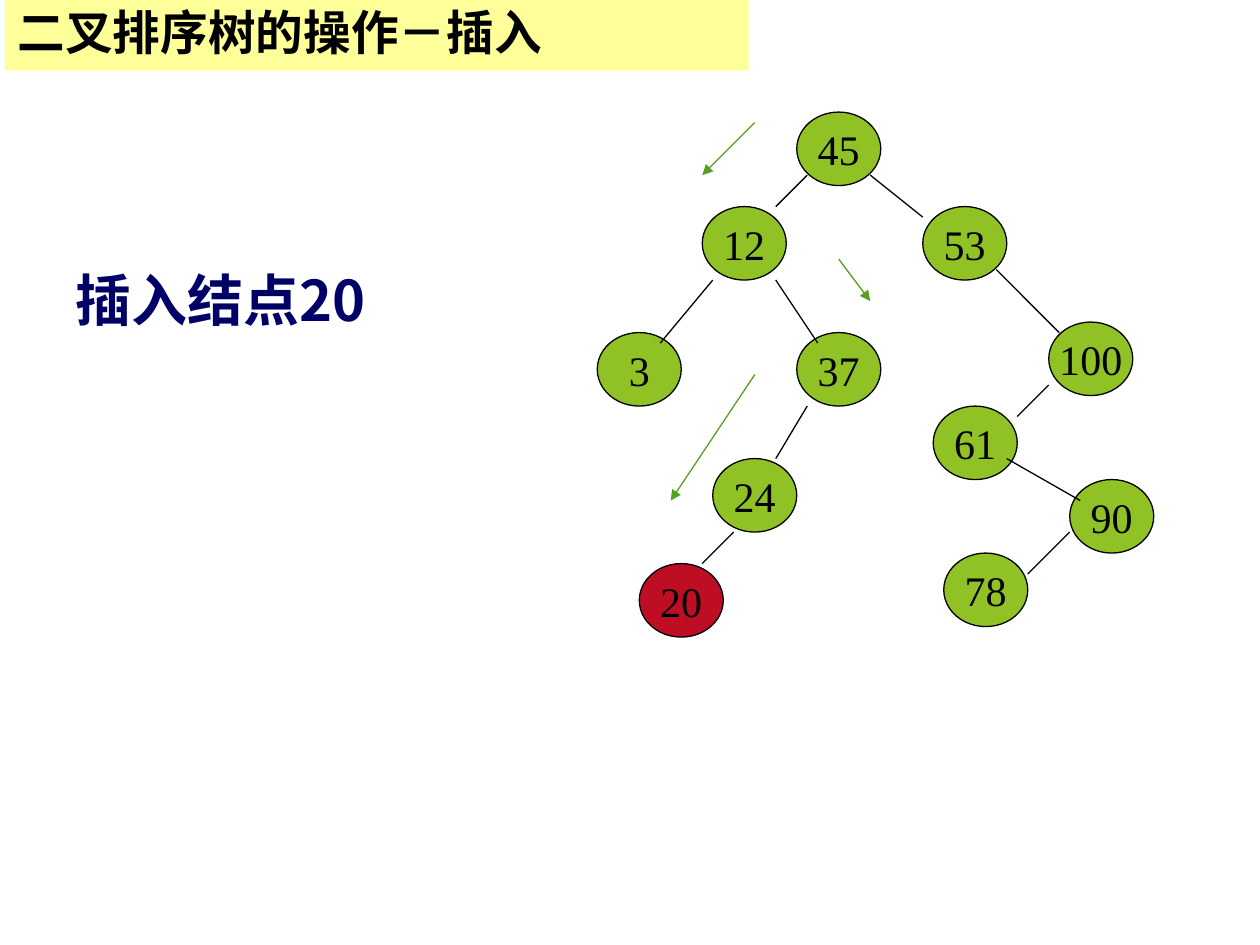
"""Build a slide that shows a node being inserted into a binary search tree."""
from lxml.etree import SubElement
from pptx import Presentation
from pptx.dml.color import RGBColor
from pptx.enum.shapes import MSO_CONNECTOR as Connector, MSO_SHAPE as Shape
from pptx.enum.text import MSO_ANCHOR as Anchor, MSO_AUTO_SIZE as AutoSize, PP_ALIGN as Align
from pptx.oxml.ns import qn
from pptx.util import Cm, Pt

TITLE = "二叉排序树的操作－插入"
CAPTION = "插入结点20"
NODES = [
    ("45", 19, 0), ("12", 10, 9), ("53", 31, 9), ("3", 0, 21), ("37", 19, 21),
    ("24", 11, 33), ("100", 43, 20), ("61", 32, 28), ("90", 45, 35), ("78", 33, 42),
]
NEW_NODE = ("20", 4, 43)
EDGES = [
    ((20, 6), (17, 9)), ((11, 16), (6, 22)), ((17, 16), (21, 22)),
    ((20, 28), (17, 33)), ((26, 6), (31, 10)), ((38, 15), (44, 21)),
    ((43, 26), (40, 29)), ((39, 33), (46, 37)), ((45, 40), (41, 44)),
    ((13, 40), (10, 43)),
]
SEARCH_STEPS = [((15, 1), (10, 6)), ((23, 14), (26, 18)), ((15, 25), (7, 37))]

THEME = {
    "node": "90C226", "new_node": "BE0E23", "ink": "000000", "arrow": "54A021",
    "caption": "000066", "band": "FFFF99", "line_width": 0.75,
    "sans": "Noto Sans CJK SC", "serif": "Times New Roman",
    "title_size": 27.2, "caption_size": 32, "node_size": 24,
}
TREE_LEFT, TREE_TOP, UNIT = 12.04, 2.26, 2.54 / 12
NODE_WIDTH, NODE_HEIGHT = 8, 7


def color(name):
    return RGBColor.from_string(THEME[name])


def apply(target, values):
    for name, value in values.items():
        setattr(target, name, value)


def place(column, row):
    return Cm(TREE_LEFT + column * UNIT), Cm(TREE_TOP + row * UNIT)


def write(shape, text, font_values, color_name, frame_values, paragraph_values):
    frame = shape.text_frame
    apply(frame, frame_values)
    paragraph = frame.paragraphs[0]
    apply(paragraph, paragraph_values)
    run = paragraph.add_run()
    run.text = text
    apply(run.font, font_values)
    run.font.color.rgb = color(color_name)
    SubElement(run.font._element, qn("a:ea"), typeface=font_values["name"])


def add_node(slide, node, fill):
    text, column, row = node
    shape = slide.shapes.add_shape(
        Shape.OVAL, *place(column, row), Cm(NODE_WIDTH * UNIT), Cm(NODE_HEIGHT * UNIT))
    shape.shadow.inherit = False
    shape.fill.solid()
    shape.fill.fore_color.rgb = color(fill)
    shape.line.color.rgb = color("ink")
    shape.line.width = Pt(THEME["line_width"])
    write(shape, text, {"name": THEME["serif"], "size": Pt(THEME["node_size"])}, "ink",
          {"word_wrap": False, "vertical_anchor": Anchor.MIDDLE}, {"alignment": Align.CENTER})


def add_line(slide, start, end, stroke, arrow=False):
    line = slide.shapes.add_connector(Connector.STRAIGHT, *place(*start), *place(*end))
    line.line.color.rgb = color(stroke)
    line.line.width = Pt(THEME["line_width"])
    properties = line._element.spPr
    if arrow:
        SubElement(properties.find(qn("a:ln")), qn("a:tailEnd"), type="triangle")
    SubElement(properties, qn("a:effectLst"))


def main():
    presentation = Presentation()
    apply(presentation, {"slide_width": Cm(25.4), "slide_height": Cm(19.05)})
    slide = presentation.slides.add_slide(presentation.slide_layouts[5])

    title = slide.shapes.title
    apply(title, {"left": Cm(0.1), "top": Cm(0), "width": Cm(14.99), "height": Cm(1.42)})
    title.fill.solid()
    title.fill.fore_color.rgb = color("band")
    sans_bold = {"name": THEME["sans"], "bold": True}
    write(title, TITLE, {**sans_bold, "size": Pt(THEME["title_size"])}, "ink",
          {"word_wrap": True, "auto_size": AutoSize.NONE, "vertical_anchor": Anchor.MIDDLE},
          {"alignment": Align.LEFT, "line_spacing": 0.9})

    caption = slide.shapes.add_textbox(Cm(1.27), Cm(5.23), Cm(7.21), Cm(1.63))
    write(caption, CAPTION, {**sans_bold, "size": Pt(THEME["caption_size"])}, "caption",
          {"word_wrap": True, "auto_size": AutoSize.SHAPE_TO_FIT_TEXT}, {"alignment": Align.LEFT})

    for node in NODES:
        add_node(slide, node, "node")
    add_node(slide, NEW_NODE, "new_node")
    for start, end in EDGES:
        add_line(slide, start, end, "ink")
    for start, end in SEARCH_STEPS:
        add_line(slide, start, end, "arrow", arrow=True)

    presentation.save("out.pptx")


if __name__ == "__main__":
    main()
